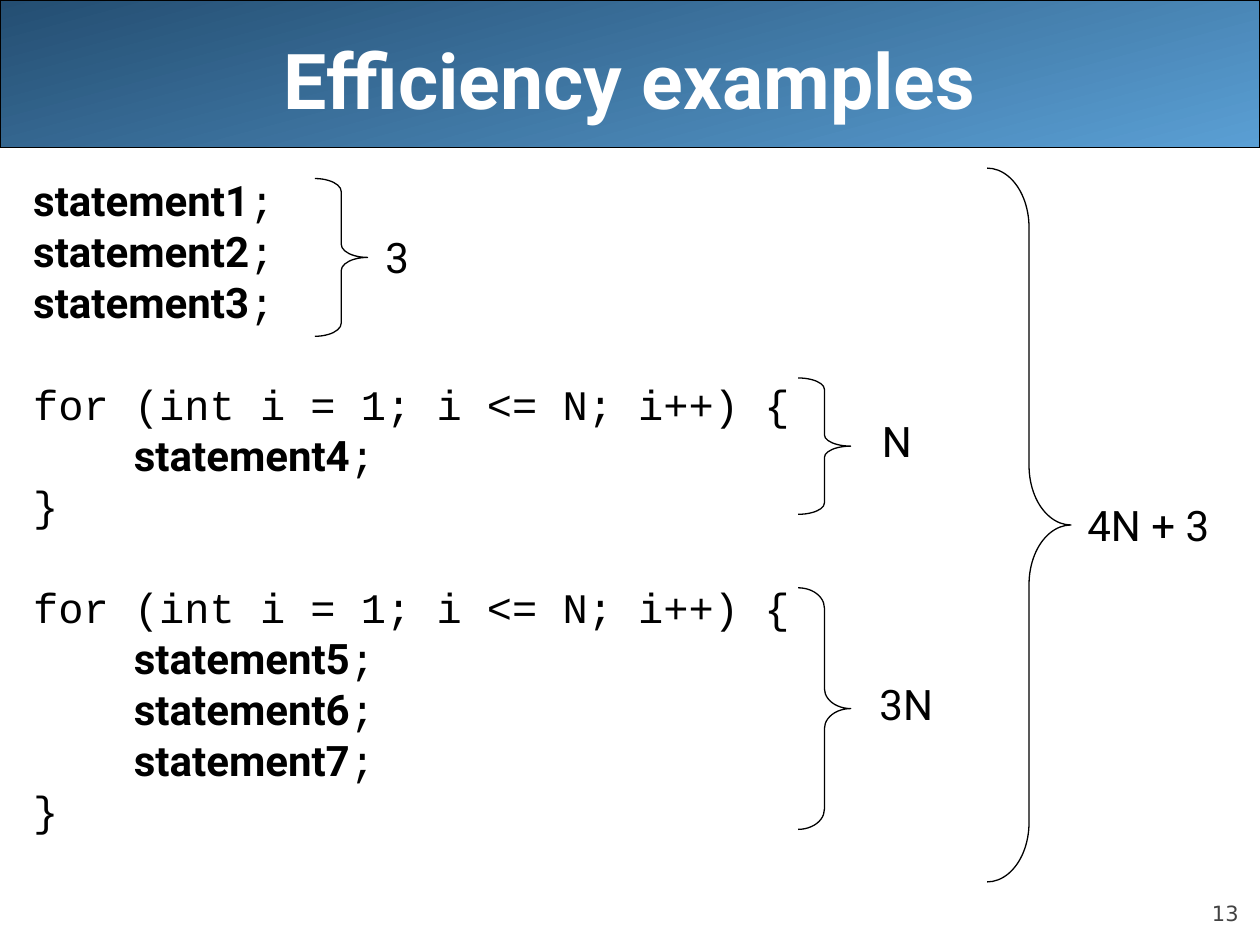
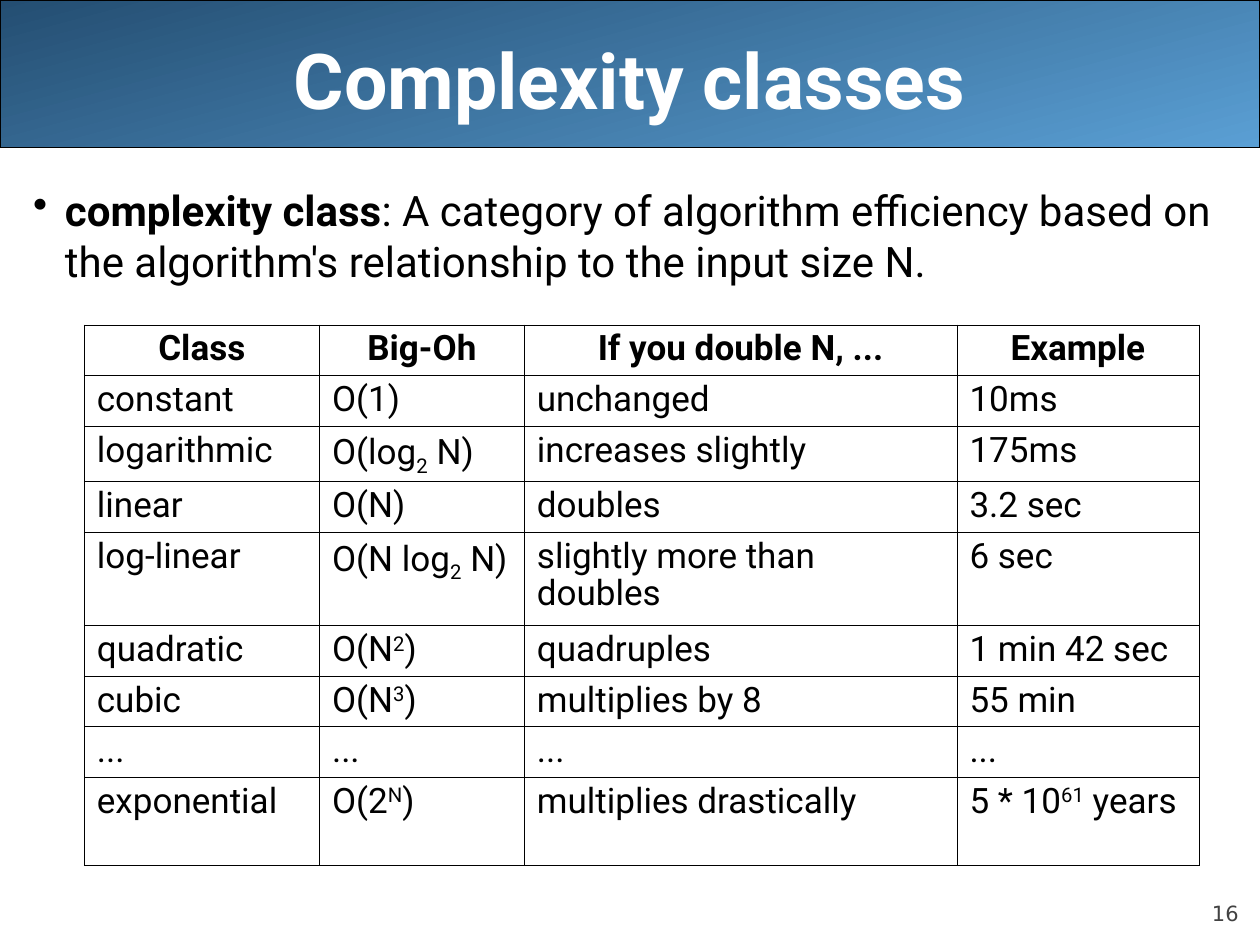
from pptx import Presentation
from pptx.dml.color import RGBColor
from pptx.enum.shapes import MSO_SHAPE
from pptx.enum.text import MSO_ANCHOR, PP_ALIGN
from pptx.oxml import parse_xml
from pptx.oxml.ns import nsdecls
from pptx.util import Cm, Pt

HUES = {"ink": "000000", "paper": "FFFFFF", "page": "424242",
        "dark": "244E72", "light": "5A9FD4"}
SANS, MONO, FOOT = "Roboto", "Courier New", "DejaVu Sans"
SHIFTS = {"^": "30000", "_": "-25000"}

LOOP = "for (int i = 1; i <= N; i++) {"
BLOCKS = [
    ["*statement1|;", "*statement2|;", "*statement3|;"],
    [LOOP, "*statement4|;", "}"],
    [LOOP, "*statement5|;", "*statement6|;", "*statement7|;", "}"],
]
# Brace left, top, width, height; label text, left, top, width
COSTS = [
    ((6.35, 3.6, 1.06, 3.18), "3", (7.52, 4.55, 1)),
    ((16.09, 7.62, 1.06, 2.75), "N", (17.53, 8.26, 1.14)),
    ((16.09, 11.85, 1.06, 4.87), "3N", (17.48, 13.55, 1.62)),
    ((19.9, 3.39, 1.69, 14.39), "4N + 3", (21.67, 9.95, 3.05)),
]
COLS = [4.74, 4.13, 8.72, 4.88]
ROWS = [
    (1.02, ["Class", "Big-Oh", "If you double N, ...", "Example"]),
    (1.02, ["constant", "O(1)", "unchanged", "10ms"]),
    (1.12, ["logarithmic", "O(log|_2| N)", "increases slightly", "175ms"]),
    (1.02, ["linear", "O(N)", "doubles", "3.2 sec"]),
    (1.88, ["log-linear", "O(N log|_2| N)", "slightly more than doubles", "6 sec"]),
    (1.02, ["quadratic", "O(N|^2|)", "quadruples", "1 min 42 sec"]),
    (1.02, ["cubic", "O(N|^3|)", "multiplies by 8", "55 min"]),
    (1.02, ["..."] * 4),
    (1.78, ["exponential", "O(2|^N|)", "multiplies drastically", "5 * 10|^61| years"]),
]


def paint(name):
    return RGBColor.from_string(HUES[name])


def assign(item, **values):
    for key, value in values.items():
        setattr(item, key, value)


def write(para, text, size, font=SANS, hue="ink", bold=False, **form):
    """Fill a paragraph; | parts runs, * marks bold sans, ^ and _ shift."""
    assign(para, **form)
    for part in text.split("|"):
        run = para.add_run()
        strong = part.startswith("*")
        run.text = part[1:] if part[:1] in ("*", *SHIFTS) else part
        assign(run.font, size=Pt(size), name=SANS if strong else font,
               bold=bold or strong)
        run.font.color.rgb = paint(hue)
        if part[:1] in SHIFTS:
            run.font._element.set("baseline", SHIFTS[part[0]])


def indent(para, left, first=0):
    props = para._p.get_or_add_pPr()
    props.set("marL", str(Cm(left)))
    props.set("indent", str(Cm(first)))
    return props


def text_box(shapes, left, top, width, height, **form):
    frame = shapes.add_textbox(Cm(left), Cm(top), Cm(width), Cm(height)).text_frame
    assign(frame, **{"word_wrap": True, **form})
    return frame


def outline(shape):
    shape.shadow.inherit = False
    shape.line.color.rgb = paint("ink")
    shape.line.width = Pt(0.75)


def base(deck, title, page):
    """Add a slide with the title band and page number."""
    shapes = deck.slides.add_slide(deck.slide_layouts[6]).shapes
    band = shapes.add_shape(MSO_SHAPE.RECTANGLE, 0, 0, deck.slide_width, Cm(2.97))
    outline(band)
    band.fill.gradient()
    band.fill.gradient_angle = 285
    for stop, hue in zip(band.fill.gradient_stops, ("dark", "light")):
        stop.color.rgb = paint(hue)
    foot = text_box(shapes, 22.86, 17.65, 2.11, 1.02, vertical_anchor=MSO_ANCHOR.BOTTOM,
                    margin_left=0, margin_right=0, margin_top=0, margin_bottom=0)
    write(foot.paragraphs[0], page, 12, FOOT, "page", alignment=PP_ALIGN.RIGHT)
    head = text_box(shapes, 1.27, 0, 22.86, 3.18, vertical_anchor=MSO_ANCHOR.MIDDLE)
    write(head.paragraphs[0], title, 44, hue="paper", bold=True,
          alignment=PP_ALIGN.CENTER)
    return shapes


def body(shapes):
    return text_box(shapes, 0.42, 3.6, 24.98, 14.4)


def code(frame, blocks):
    para = frame.paragraphs[0]
    for block in blocks:
        looped = block[0] == LOOP
        for row, line in enumerate(block):
            if para is None:
                para = frame.add_paragraph()
            gap = 35 if looped and row == 0 else 6
            write(para, line, 24, MONO, line_spacing=0.8, space_before=Pt(gap))
            indent(para, 2.03 if looped and line.startswith("*") else 0)
            para = None


def brace(shapes, area, label, spot):
    """Group a right brace with the cost it stands for."""
    group = shapes.add_group_shape().shapes
    curve = group.add_shape(MSO_SHAPE.RIGHT_BRACE, *map(Cm, area))
    outline(curve)
    curve.fill.background()
    width, height = area[2:]
    curve.adjustments[0] = height / 12 / width
    frame = text_box(group, *spot, 1.27, word_wrap=False)
    write(frame.paragraphs[0], label, 24)


def bullet(para, text):
    write(para, text, 24, space_before=Pt(6))
    props = indent(para, 0.64, -0.64)
    props.append(parse_xml(f'<a:buChar {nsdecls("a")} char="•"/>'))


def border(cell):
    props = cell._tc.get_or_add_tcPr()
    for side in "LRTB":
        props.append(parse_xml(
            f'<a:ln{side} {nsdecls("a")} w="{Pt(0.45)}"><a:solidFill>'
            f'<a:srgbClr val="{HUES["ink"]}"/></a:solidFill></a:ln{side}>'))


def grid(shapes, left, top, cols, rows):
    tall = sum(height for height, _ in rows)
    table = shapes.add_table(len(rows), len(cols), Cm(left), Cm(top),
                             Cm(sum(cols)), Cm(tall)).table
    assign(table, first_row=False, horz_banding=False)
    for col, width in zip(table.columns, cols):
        col.width = Cm(width)
    for r, (height, texts) in enumerate(rows):
        table.rows[r].height = Cm(height)
        for c, text in enumerate(texts):
            cell = table.cell(r, c)
            border(cell)
            cell.fill.background()
            write(cell.text_frame.paragraphs[0], text, 20, bold=r == 0,
                  line_spacing=0.9,
                  alignment=PP_ALIGN.LEFT if r else PP_ALIGN.CENTER)


def main():
    deck = Presentation()
    assign(deck, slide_width=Cm(25.4), slide_height=Cm(19.05))

    shapes = base(deck, "Efficiency examples", "13")
    code(body(shapes), BLOCKS)
    for cost in COSTS:
        brace(shapes, *cost)

    shapes = base(deck, "Complexity classes", "16")
    bullet(body(shapes).paragraphs[0],
           "*complexity class|: A category of algorithm efficiency based on "
           "the algorithm's relationship to the input size N.")
    grid(shapes, 1.7, 6.55, COLS, ROWS)
    deck.save("out.pptx")


if __name__ == "__main__":
    main()
